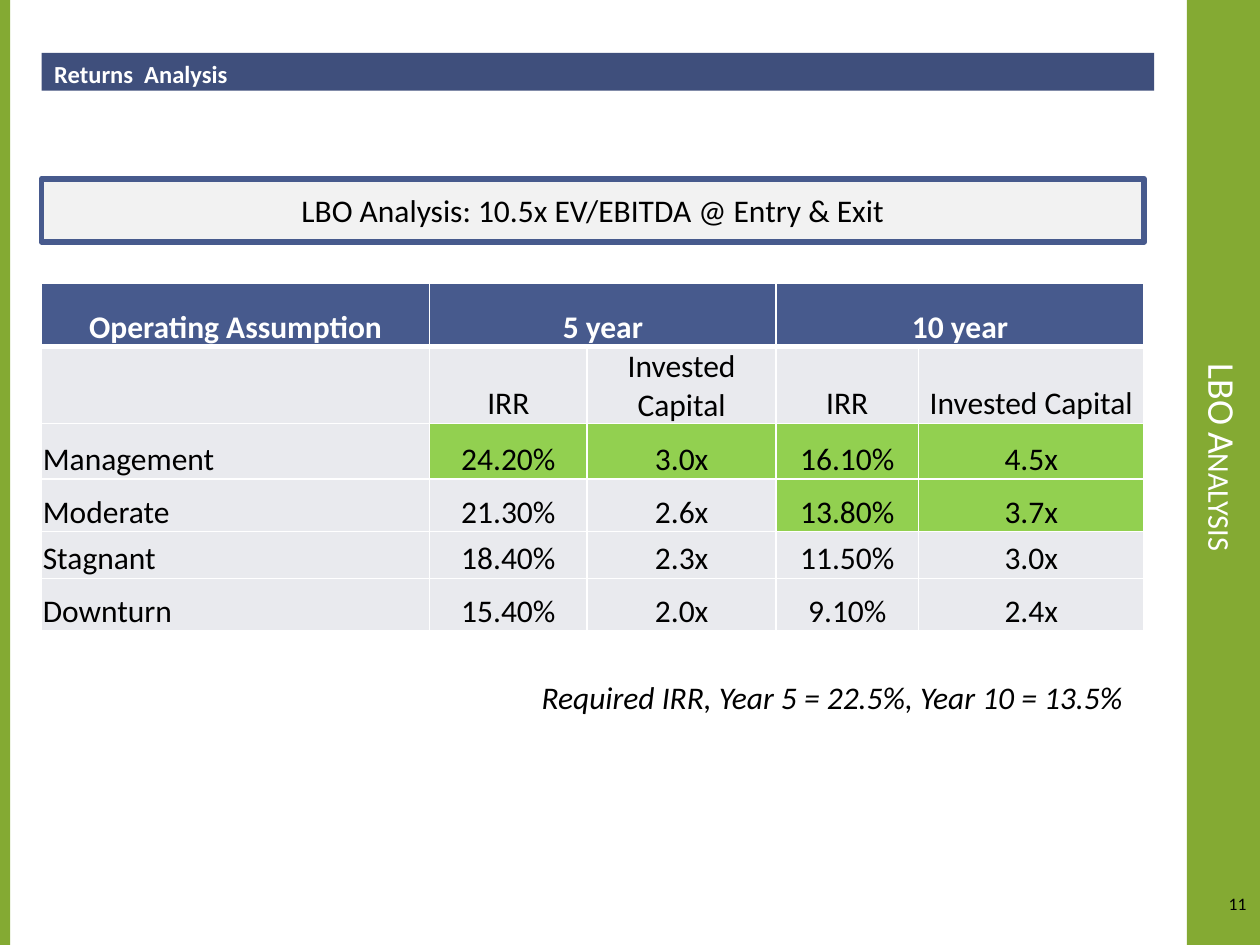
import pptx
import pptx.util
import pptx.dml.color
import pptx.enum.shapes
import pptx.enum.text
import pptx.oxml.ns
import lxml.etree

Inches = pptx.util.Inches
Pt = pptx.util.Pt
ALIGN = pptx.enum.text.PP_ALIGN
ANCHOR = pptx.enum.text.MSO_ANCHOR
SHAPE = pptx.enum.shapes.MSO_SHAPE
qn = pptx.oxml.ns.qn

LEAF, LIME, NAVY, PALE = "84AA33", "92D050", "475A8D", "E9EAEE"
WHITE, BLACK = "FFFFFF", "000000"

COLS = [3.08, 1.25, 1.5, 1.13, 1.79]
ROWS = [0.5, 0.58, 0.44, 0.42, 0.37, 0.42]
DATA = [
    ["Operating Assumption", "5 year", "", "10 year", ""],
    ["", "IRR", "Invested Capital", "IRR", "Invested Capital"],
    ["Management", "24.20%", "3.0x", "16.10%", "4.5x"],
    ["Moderate", "21.30%", "2.6x", "13.80%", "3.7x"],
    ["Stagnant", "18.40%", "2.3x", "11.50%", "3.0x"],
    ["Downturn", "15.40%", "2.0x", "9.10%", "2.4x"],
]
# Cells that meet the required IRR, as (row, column)
PASSED = {(2, 1), (2, 2), (2, 3), (2, 4), (3, 3), (3, 4)}


def color(code):
    return pptx.dml.color.RGBColor.from_string(code)


def paint(item, code):
    item.fill.solid()
    item.fill.fore_color.rgb = color(code)


def place(shape, left, top, width, height):
    shape.left, shape.top = Inches(left), Inches(top)
    shape.width, shape.height = Inches(width), Inches(height)


def write(frame, text, size, ink=BLACK, align=ALIGN.LEFT, bold=False, italic=False):
    frame.text = text
    line = frame.paragraphs[0]
    line.alignment = align
    font = line.font
    font.name, font.size = "Calibri", Pt(size)
    font.bold, font.italic = bold, italic
    font.color.rgb = color(ink)
    return line


def add_box(slide, kind, area, fill):
    box = slide.shapes.add_shape(kind, *map(Inches, area))
    box.shadow.inherit = False
    paint(box, fill)
    box.line.fill.background()
    return box


def add_bar(slide, left, width):
    """Add a full-height side bar behind everything else."""
    bar = add_box(slide, SHAPE.RECTANGLE, (left, 0, width, 7.5), LEAF)
    slide.shapes._spTree.insert(2, bar._element)


def add_note(slide, text, area, size, wrap=True, **style):
    frame = slide.shapes.add_textbox(*map(Inches, area)).text_frame
    frame.word_wrap = wrap
    write(frame, text, size, **style)
    return frame


def set_title(slide):
    """Turn the title a quarter so that it reads down the right bar."""
    title = slide.shapes.title
    place(title, 6.5, 3.34, 6.42, 0.58)
    title.rotation = 90
    frame = title.text_frame
    frame.auto_size = pptx.enum.text.MSO_AUTO_SIZE.NONE
    frame.vertical_anchor = ANCHOR.MIDDLE
    line = write(frame, "LBO Analysis", 21.6, WHITE, ALIGN.CENTER)
    line._p.pPr.find(qn("a:defRPr")).set("cap", "small")


def set_head(slide):
    head = slide.placeholders[1]
    place(head, 0.33, 0.42, 8.83, 0.3)
    paint(head, "3F4F7C")
    frame = head.text_frame
    frame.auto_size = pptx.enum.text.MSO_AUTO_SIZE.NONE
    line = write(frame, "Returns  Analysis", 14, WHITE, bold=True)
    line.space_before = Pt(2.8)
    props = line._p.pPr
    props.set("marL", "0")
    props.set("indent", "0")
    props.find(qn("a:defRPr")).addprevious(
        lxml.etree.Element(qn("a:buNone")))


def edge(cell, low):
    """Draw white cell borders, with a bottom one of low points."""
    props = cell._tc.get_or_add_tcPr()
    for side, width in zip("LRTB", (1, 1, 1, low)):
        line = lxml.etree.SubElement(props, qn("a:ln" + side), w=str(Pt(width)))
        fill = lxml.etree.SubElement(line, qn("a:solidFill"))
        lxml.etree.SubElement(fill, qn("a:srgbClr"), val=WHITE)


def add_grid(slide):
    frame = slide.shapes.add_table(
        len(ROWS), len(COLS), Inches(0.33), Inches(2.25),
        Inches(sum(COLS)), Inches(sum(ROWS)))
    table = frame.table
    table.horz_banding = False
    for col, width in zip(table.columns, COLS):
        col.width = Inches(width)
    for row, height in zip(table.rows, ROWS):
        row.height = Inches(height)
    for r, texts in enumerate(DATA):
        top = r == 0
        for c, text in enumerate(texts):
            cell = table.cell(r, c)
            edge(cell, 3 if top else 1)
            paint(cell, NAVY if top else LIME if (r, c) in PASSED else PALE)
            cell.vertical_anchor = ANCHOR.BOTTOM
            cell.margin_left = cell.margin_right = cell.margin_top = Inches(0.01)
            cell.margin_bottom = 0
            align = ALIGN.LEFT if c == 0 and not top else ALIGN.CENTER
            write(cell.text_frame, text, 18, WHITE if top else BLACK, align, top)
    for c in (1, 3):
        table.cell(0, c).merge(table.cell(0, c + 1))


def add_banner(slide):
    box = add_box(slide, SHAPE.FLOWCHART_PROCESS, (0.33, 1.42, 8.75, 0.5), "F2F2F2")
    box.line.color.rgb = color(NAVY)
    box.line.width = Pt(3.35)
    box.text_frame.vertical_anchor = ANCHOR.MIDDLE
    write(box.text_frame, "LBO Analysis: 10.5x EV/EBITDA @ Entry & Exit", 18,
          align=ALIGN.CENTER)


def main():
    deck = pptx.Presentation()
    deck.slide_width, deck.slide_height = Inches(10), Inches(7.5)
    slide = deck.slides.add_slide(deck.slide_layouts[1])
    add_bar(slide, 9.42, 0.58)
    add_bar(slide, 0, 0.08)
    set_title(slide)
    set_head(slide)
    page = add_note(slide, "11", (9.54, 7, 0.45, 0.34), 10, align=ALIGN.RIGHT)
    page.vertical_anchor = ANCHOR.MIDDLE
    add_grid(slide)
    add_banner(slide)
    add_note(slide, "Required IRR, Year 5 = 22.5%, Year 10 = 13.5%",
             (4.2, 5.33, 4.88, 0.4), 18, wrap=False, italic=True)
    deck.save("out.pptx")


if __name__ == "__main__":
    main()
